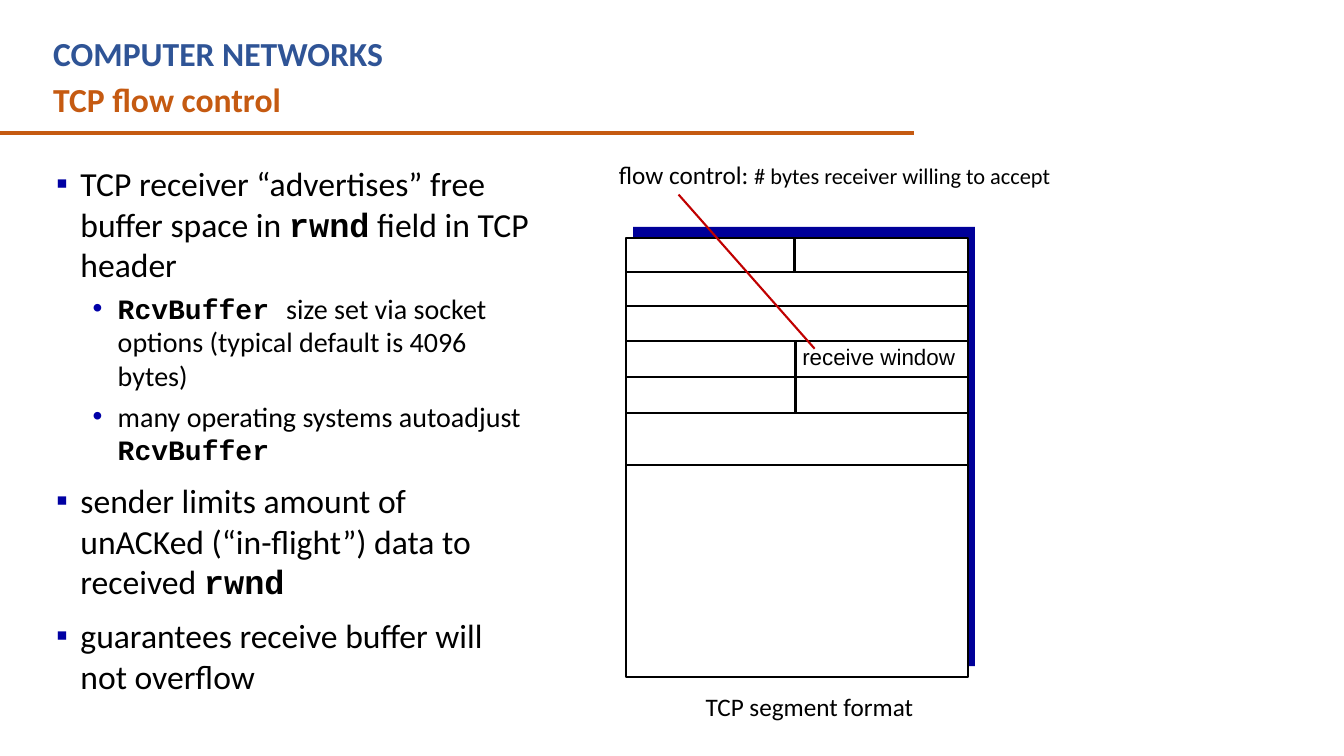
from dataclasses import dataclass

from lxml import etree
from pptx import Presentation
from pptx import util as u
from pptx.dml.color import RGBColor
from pptx.enum import shapes, text
from pptx.oxml import ns

COURSE = "COMPUTER NETWORKS"
TOPIC = "TCP flow control"
POINTS = [
    (0, [("TCP receiver “advertises” free buffer space in ", False),
         ("rwnd", True), (" field in TCP header", False)]),
    (1, [("RcvBuffer ", True),
         ("size set via socket options (typical default is 4096 bytes)", False)]),
    (1, [("many operating systems autoadjust ", False), ("RcvBuffer", True)]),
    (0, [("sender limits amount of unACKed (“in-flight”) data to received ", False),
         ("rwnd", True)]),
    (0, [("guarantees receive buffer will not overflow", False)]),
]
FIELD_LABEL = ("flow control: ", "# bytes receiver willing to accept")
WINDOW_LABEL = "receive window"
CAPTION = "TCP segment format"


@dataclass(frozen=True)
class Theme:
    body: str = "Calibri"
    code: str = "Courier New"
    diagram: str = "Arial"
    ink: str = "000000"
    paper: str = "FFFFFF"
    course: str = "2F5496"
    accent: str = "C55A11"
    backing: str = "000099"
    pointer: str = "C00000"
    heading_size: int = 24
    label_size: int = 18
    small_size: int = 16
    rule_width: float = 3
    line_width: float = 1.5


THEME = Theme()
LEVELS = [
    dict(size=24, margin=39, indent=-24, before=10, mark="▪", color="0000A3"),
    dict(size=20, margin=76, indent=-25, before=5, mark="•", color="0000A8"),
]
SCALE = u.Inches(1) // 100
SEGMENT = (621, 236, 339, 436)
BACKING_OFFSET = (7, -11)
ROW_HEIGHTS = [34, 34, 34, 36, 36, 51]


def px(length):
    return u.Emu(length * SCALE)


def add_span(para, content, size, font=THEME.body, color=THEME.ink, bold=False):
    span = para.add_run()
    span.text = content
    span.font.size = u.Pt(size)
    span.font.name = font
    span.font.bold = bold
    span.font.color.rgb = RGBColor.from_string(color)


def add_box(page, area):
    box = page.shapes.add_textbox(*map(px, area))
    box.text_frame.word_wrap = True
    return box.text_frame


def add_label(page, content, area, size, align=None, spacing=None, **style):
    para = add_box(page, area).paragraphs[0]
    para.alignment = align
    para.line_spacing = spacing
    add_span(para, content, size, **style)
    return para


def add_bullet(para, level):
    props = para._p.get_or_add_pPr()
    props.set("marL", str(px(level["margin"])))
    props.set("indent", str(px(level["indent"])))
    color = etree.SubElement(props, ns.qn("a:buClr"))
    etree.SubElement(color, ns.qn("a:srgbClr"), val=level["color"])
    etree.SubElement(props, ns.qn("a:buFont"), typeface=THEME.diagram)
    etree.SubElement(props, ns.qn("a:buChar"), char=level["mark"])


def add_line(page, start, end, color=THEME.ink, width=THEME.line_width):
    line = page.shapes.add_connector(
        shapes.MSO_CONNECTOR.STRAIGHT, *map(px, start + end))
    line.line.color.rgb = RGBColor.from_string(color)
    line.line.width = u.Pt(width)
    etree.SubElement(line._element.spPr, ns.qn("a:effectLst"))


def add_block(page, area, fill, outline=None):
    block = page.shapes.add_shape(shapes.MSO_SHAPE.RECTANGLE, *map(px, area))
    block.shadow.inherit = False
    block.fill.solid()
    block.fill.fore_color.rgb = RGBColor.from_string(fill)
    if outline:
        block.line.color.rgb = RGBColor.from_string(outline)
        block.line.width = u.Pt(THEME.line_width)
    else:
        block.line.fill.background()


def add_header(page):
    add_label(page, COURSE, (43, 28, 820, 50), THEME.heading_size,
              color=THEME.course, bold=True)
    add_label(page, TOPIC, (43, 73, 1013, 50), THEME.heading_size,
              color=THEME.accent, bold=True)
    add_line(page, (0, 132), (907, 132), THEME.accent, THEME.rule_width)


def add_points(page):
    frame = add_box(page, (31, 157, 510, 565))
    for index, (depth, spans) in enumerate(POINTS):
        level = LEVELS[depth]
        para = frame.add_paragraph() if index else frame.paragraphs[0]
        para.level = depth
        add_bullet(para, level)
        if index:
            para.space_before = u.Pt(level["before"])
        for content, is_code in spans:
            add_span(para, content, level["size"], bold=is_code,
                     font=THEME.code if is_code else THEME.body)


def add_segment(page):
    left, top, width, height = SEGMENT
    shift_x, shift_y = BACKING_OFFSET
    add_block(page, (left + shift_x, top + shift_y, width, height), THEME.backing)
    add_block(page, SEGMENT, THEME.paper, THEME.ink)
    edges = [top]
    for row_height in ROW_HEIGHTS:
        edges.append(edges[-1] + row_height)
    for edge in edges[1:]:
        add_line(page, (left, edge), (left + width, edge))
    for middle, first, last in [(788, 0, 1), (789, 3, 5)]:
        add_line(page, (middle, edges[first]), (middle, edges[last]))


def add_labels(page):
    para = add_label(page, FIELD_LABEL[0], (604, 157, 476, 37),
                     THEME.label_size, spacing=0.9)
    add_span(para, FIELD_LABEL[1], THEME.small_size)
    add_label(page, WINDOW_LABEL, (785, 336, 173, 37), THEME.small_size,
              align=text.PP_ALIGN.CENTER, font=THEME.diagram)
    add_line(page, (808, 346), (673, 193), THEME.pointer)
    add_label(page, CAPTION, (690, 684, 253, 37), THEME.label_size, spacing=0.9)


def main():
    deck = Presentation()
    deck.slide_width, deck.slide_height = px(1333), px(750)
    page = deck.slides.add_slide(deck.slide_layouts[6])
    add_header(page)
    add_points(page)
    add_segment(page)
    add_labels(page)
    deck.save("out.pptx")


if __name__ == "__main__":
    main()
